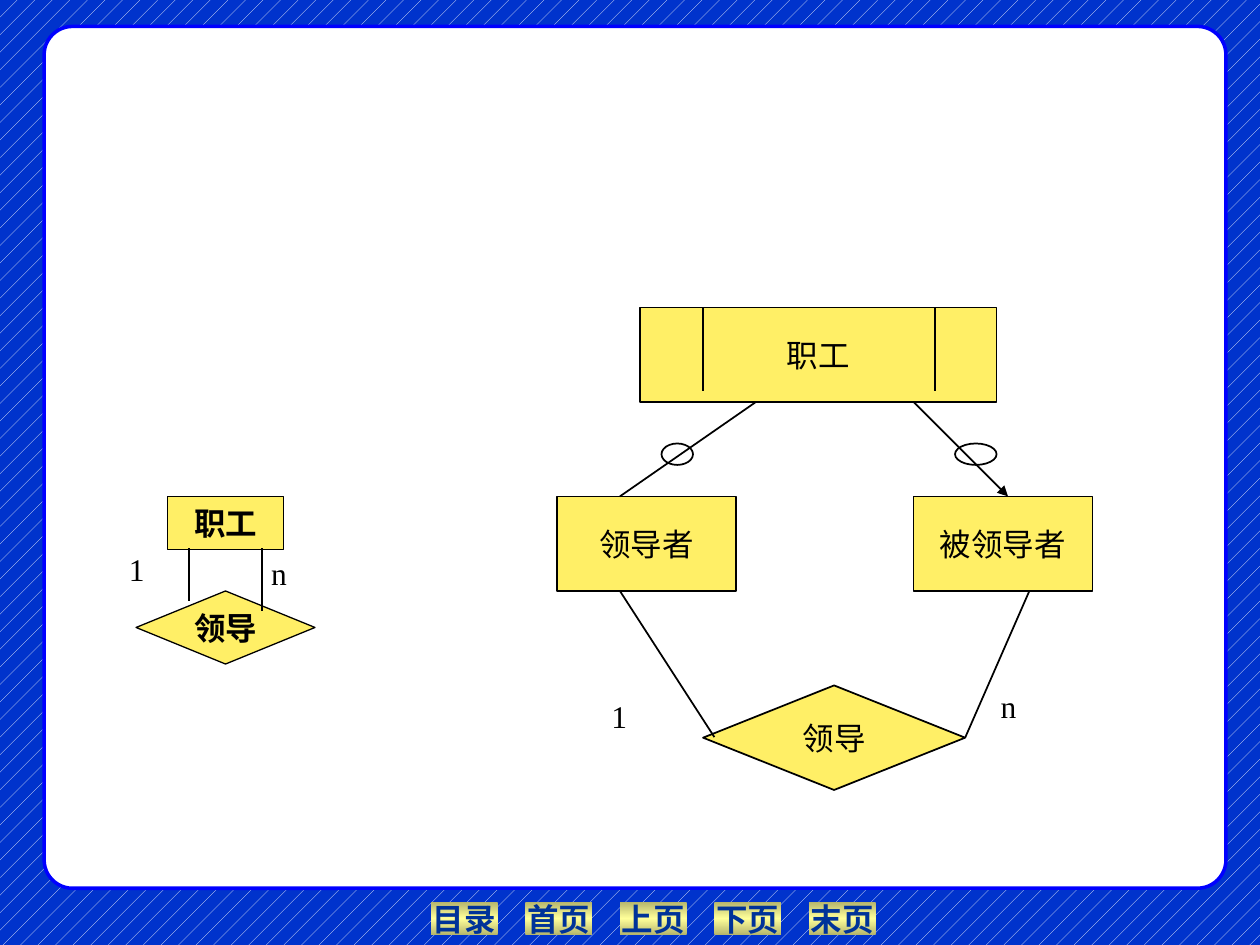
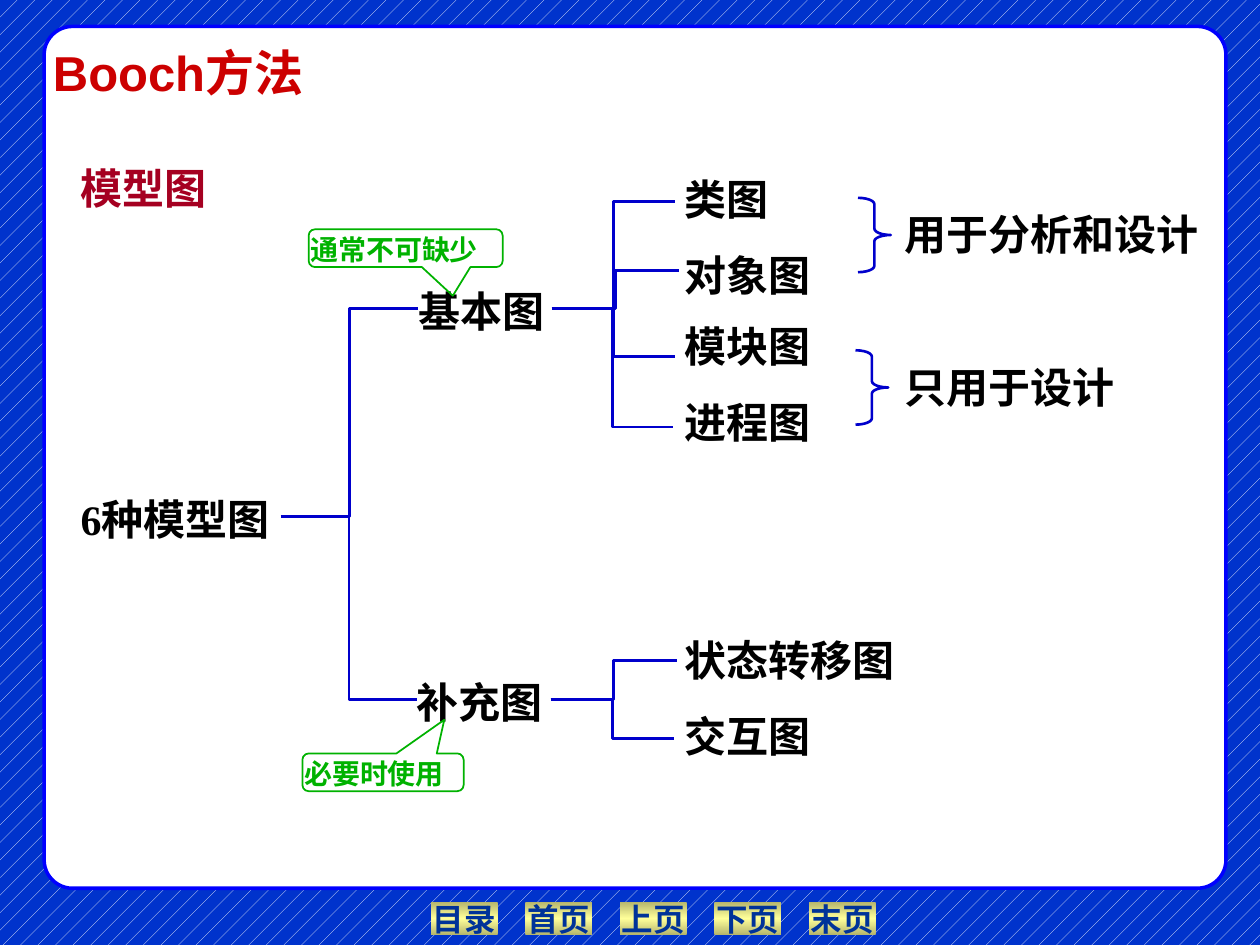
from copy import deepcopy

from lxml import etree
from pptx import Presentation
from pptx.dml.color import RGBColor
from pptx.enum import dml, shapes, text
from pptx.oxml.ns import qn
from pptx import util as u

INK = {"black": "000000", "white": "FFFFFF", "back": "0033CC", "frame": "0000FF",
       "nav": "003399", "olive": "B6B66D", "cream": "FFFF99", "box": "FFEF66",
       "title": "CC0000", "head": "A50021", "note": "00B200", "link": "0000CC"}
KIND = shapes.MSO_SHAPE
LINE = shapes.MSO_CONNECTOR
ALIGN = text.PP_ALIGN
TOP, MID = text.MSO_ANCHOR.TOP, text.MSO_ANCHOR.MIDDLE


def hue(name):
    return RGBColor.from_string(INK[name])


class Deck:
    """Holds the style and current slide on a grid of 100 columns by 75 rows."""

    def __init__(self):
        self.prs = Presentation()
        self.prs.slide_width, self.prs.slide_height = u.Inches(10), u.Inches(7.5)
        self.page = None

    def grid(self, *cells):
        steps = (self.prs.slide_width / 100, self.prs.slide_height / 75)
        return [round(cell * steps[i % 2]) for i, cell in enumerate(cells)]

    def start(self, layout):
        self.page = self.prs.slides.add_slide(self.prs.slide_layouts[layout])

    def letter(self, item, lines, size=18, color="black", bold=False, face="Times New Roman",
               align=ALIGN.CENTER, anchor=MID, wrap=False, inset=None, tight=False, gaps=()):
        frame = item.text_frame
        frame.text = "\n".join(lines)
        frame.word_wrap, frame.vertical_anchor = wrap, anchor
        frame.auto_size = text.MSO_AUTO_SIZE.NONE
        if inset is not None:
            frame.margin_left = frame.margin_right = inset
            frame.margin_top = frame.margin_bottom = inset
        for i, para in enumerate(frame.paragraphs):
            para.alignment = align
            para.space_before = u.Pt(gaps[i - 1] if i and gaps else 0)
            if tight:
                para.line_spacing = u.Pt(1.25 * size)
            font = para.font
            font.name, font.size, font.bold = face, u.Pt(size), bold
            font.color.rgb = hue(color)
        return item

    def shape(self, kind, at, fill=None, line=None, width=1, adj=()):
        item = self.page.shapes.add_shape(kind, *self.grid(*at))
        item.shadow.inherit = False
        if fill:
            item.fill.solid()
            item.fill.fore_color.rgb = hue(fill)
        else:
            item.fill.background()
        if line:
            item.line.color.rgb, item.line.width = hue(line), u.Pt(width)
        else:
            item.line.fill.background()
        for i, value in enumerate(adj):
            item.adjustments[i] = value
        return item

    def node(self, kind, at, words, width=1, bold=False):
        return self.letter(self.shape(kind, at, "box", "black", width), [words], bold=bold)

    def label(self, at, words, **style):
        item = self.page.shapes.add_textbox(*self.grid(*at))
        return self.letter(item, [words], anchor=TOP, **style)

    def term(self, at, words, color="black"):
        return self.label(at, words, size=24, color=color, bold=True,
                          align=ALIGN.LEFT, inset=0, tight=True)

    def note(self, at, words, adj):
        item = self.shape(KIND.ROUNDED_RECTANGULAR_CALLOUT, at, line="note", adj=adj)
        self.letter(item, [words], 16, "note", True, align=ALIGN.LEFT, anchor=TOP,
                    wrap=True, inset=0, tight=True)

    def place(self, idx, at):
        item = self.page.placeholders[idx]
        item.left, item.top, item.width, item.height = self.grid(*at)
        return item

    def title(self, at, words):
        self.letter(self.place(0, at), [words], 28, "title", True, "Arial",
                    ALIGN.LEFT, TOP, tight=True)

    def items(self, idx, at, lines, gaps):
        item = self.letter(self.place(idx, at), lines, 24, bold=True, align=ALIGN.LEFT,
                           anchor=TOP, inset=0, tight=True, gaps=gaps)
        for para in item.text_frame.paragraphs:
            props = para._p.get_or_add_pPr()
            props.set("marL", "0")
            props.set("indent", "0")
            props.find(qn("a:defRPr")).addprevious(etree.Element(qn("a:buNone")))

    def link(self, start, end, kind=LINE.STRAIGHT, color="black", width=1, arrow=False):
        item = self.page.shapes.add_connector(kind, *self.grid(*start, *end))
        item.line.color.rgb, item.line.width = hue(color), u.Pt(width)
        props = item._element.spPr
        etree.SubElement(props, qn("a:effectLst"))
        if arrow:
            etree.SubElement(props.find(qn("a:ln")), qn("a:tailEnd"), type="triangle")
        return item

    def tree(self, start, ends):
        for end in ends:
            self.link(start, end, LINE.ELBOW, "link", 1.5)

    def button(self, at, words):
        item = self.shape(KIND.ACTION_BUTTON_CUSTOM, at)
        item.fill.gradient()
        item.fill.gradient_angle = 90
        stops = item._element.spPr.find(qn("a:gradFill")).find(qn("a:gsLst"))
        stops.insert(1, deepcopy(stops[0]))
        for i, (stop, name) in enumerate(zip(item.fill.gradient_stops,
                                             ("olive", "cream", "olive"))):
            stop.position, stop.color.rgb = i / 2, hue(name)
        self.letter(item, [words], color="nav", bold=True)

    def master(self):
        """Draws the shared frame and buttons and moves them to the master."""
        base = self.prs.slide_master
        fill = base.background.fill
        fill.patterned()
        fill.pattern = dml.MSO_PATTERN.PERCENT_5
        fill.fore_color.rgb, fill.back_color.rgb = hue("white"), hue("back")
        for i, words in enumerate(("目录", "首页", "上页", "下页", "末页")):
            self.button((34.2 + 7.5 * i, 71.6, 5.3, 2.6), words)
        self.shape(KIND.ROUNDED_RECTANGLE, (3.5, 2.1, 93.8, 68.4), "white", "frame", 2, [0.033])
        for i, item in enumerate(list(self.page.shapes)):
            item._element.nvSpPr.cNvPr.id = 50 + i
            base.shapes._spTree.append(item._element)


def staff(deck):
    """Draws the staff and leader relation in two forms."""
    deck.node(KIND.RECTANGLE, (13.3, 39.4, 9.2, 4.2), "职工", 0.75, True)
    deck.node(KIND.FLOWCHART_DECISION, (10.8, 46.9, 14.2, 5.8), "领导", 0.75, True)
    deck.link((15, 43.5), (15, 47.7), width=0.75)
    deck.link((20.8, 43.5), (20.8, 48.5))
    deck.node(KIND.RECTANGLE, (50.8, 24.4, 28.3, 7.5), "职工")
    for x in (55.8, 74.2):
        deck.link((x, 24.4), (x, 31))
    for x, words in ((44.2, "领导者"), (72.5, "被领导者")):
        deck.node(KIND.RECTANGLE, (x, 39.4, 14.2, 7.5), words)
    lead = deck.node(KIND.DIAMOND, (55.8, 54.4, 20.8, 8.3), "领导")
    deck.link((60, 31.9), (49.2, 39.4))
    deck.link((72.5, 31.9), (80, 39.4), arrow=True)
    for x, wide in ((52.5, 2.5), (75.8, 3.3)):
        deck.shape(KIND.OVAL, (x, 35.2, wide, 1.7), line="black")
    deck.link((81.7, 46.9), (76.7, 58.5)).end_connect(lead, 3)
    deck.link((49.2, 46.9), (56.7, 58.5))
    for x, y, words in ((9, 43.2, "1"), (20.3, 43.5, "n"), (47.3, 54.8, "1"), (78.2, 54, "n")):
        deck.label((x, y, 3.7, 5), words)


def models(deck):
    """Draws the tree of model diagrams."""
    deck.title((3.2, 2.7, 26.3, 5.7), "Booch方法")
    deck.term((6.4, 12.7, 10.6, 4), "模型图", "head")
    deck.term((6.4, 39, 15.9, 4), "6种模型图")
    deck.term((33.2, 22.5, 10.6, 4), "基本图")
    deck.term((33.1, 53.5, 10.6, 4), "补充图")
    deck.items(1, (54.3, 13.6, 14.9, 21.6), ("类图", "对象图", "模块图", "进程图"), (13.5, 10.5, 13.5))
    deck.items(2, (54.3, 50.2, 17.6, 10), ("状态转移图", "交互图"), (13.5,))
    deck.tree((22.3, 41), ((33.2, 24.5), (33.1, 55.5)))
    deck.tree((43.8, 24.5), ((53.6, 16), (53.9, 21.5), (53.6, 28.3), (53.4, 33.9)))
    deck.tree((43.7, 55.5), ((53.7, 52.4), (53.5, 58.6)))
    for x, y, words in ((68.1, 15.7, "用于分析和设计"), (67.9, 27.8, "只用于设计")):
        deck.shape(KIND.RIGHT_BRACE, (x, y, 2.6, 5.9), line="link", width=1.5, adj=(0.192, 0.5))
        deck.term((71.8, y + 0.7, 25.1, 4), words)
    deck.note((24.5, 18.2, 15.4, 3), "通常不可缺少", (0.243, 1.259, 0.167))
    deck.note((24, 59.8, 12.8, 3), "必要时使用", (0.38, -1.391, 0.167))


def main():
    deck = Deck()
    deck.start(6)
    deck.master()
    staff(deck)
    deck.start(3)
    models(deck)
    deck.prs.save("out.pptx")


if __name__ == "__main__":
    main()
